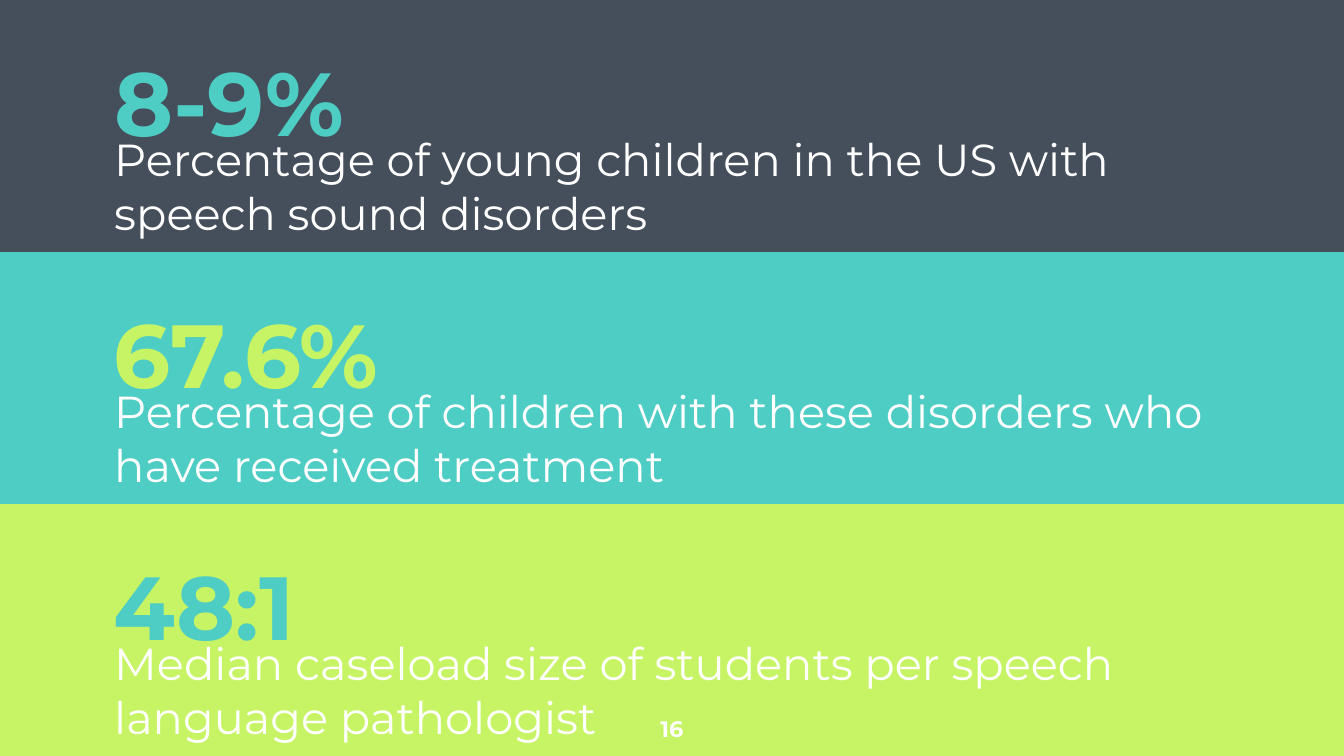
from dataclasses import dataclass
from lxml.etree import SubElement
from pptx import Presentation
from pptx.dml.color import RGBColor
from pptx.enum.shapes import MSO_SHAPE
from pptx.enum.text import MSO_ANCHOR, MSO_AUTO_SIZE, PP_ALIGN
from pptx.oxml.ns import qn
from pptx.util import Pt


@dataclass(frozen=True)
class Theme:
    """Colours, font and type sizes of the slide."""
    slate: str = "454F5B"
    teal: str = "4ECDC4"
    lime: str = "C7F464"
    white: str = "FFFFFF"
    font: str = "Montserrat"
    large: int = 48
    text: int = 24
    small: int = 12


THEME = Theme()
WIDTH, HEIGHT = 720, 405
BAND = HEIGHT / 3
LEFT, SPAN = 54, 612
FACTS = [
    ("8-9%", THEME.teal,
     "Percentage of young children in the US with speech sound disorders"),
    ("67.6%", THEME.lime,
     "Percentage of children with these disorders who have received treatment"),
    ("48:1", THEME.teal,
     "Median caseload size of students per speech language pathologist"),
]


def place(shape, left, top, width, height):
    """Move and size a shape in points."""
    shape.left, shape.top = Pt(left), Pt(top)
    shape.width, shape.height = Pt(width), Pt(height)


def write(shape, text, size=THEME.text, color=THEME.white, bold=False,
          align=PP_ALIGN.LEFT, anchor=MSO_ANCHOR.TOP):
    """Fill a shape with one formatted paragraph without a bullet."""
    frame = shape.text_frame
    frame.word_wrap = True
    frame.auto_size = MSO_AUTO_SIZE.NONE
    frame.vertical_anchor = anchor
    frame.margin_left = frame.margin_right = Pt(7.2)
    frame.margin_top = frame.margin_bottom = Pt(7.2)
    para = frame.paragraphs[0]
    props = para._p.get_or_add_pPr()
    props.set("marL", "0")
    props.set("indent", "0")
    SubElement(props, qn("a:buNone"))
    para.alignment = align
    para.space_before = Pt(0)
    run = para.add_run()
    run.text = text
    font = run.font
    font.name, font.size, font.bold = THEME.font, Pt(size), bold
    font.color.rgb = RGBColor.from_string(color)


def add_box(slide):
    """Add an empty text box."""
    return slide.shapes.add_textbox(0, 0, 0, 0)


def add_band(slide, row, color):
    """Add a full-width colour band behind the text."""
    band = slide.shapes.add_shape(MSO_SHAPE.RECTANGLE, 0, 0, 0, 0)
    place(band, 0, row * BAND, WIDTH, BAND)
    band.shadow.inherit = False
    band.fill.solid()
    band.fill.fore_color.rgb = RGBColor.from_string(color)
    band.line.fill.background()
    slide.shapes._spTree.insert(2 + row, band._element)


def add_fact(row, head, body, fact):
    """Set a large figure and its caption in one band."""
    figure, color, caption = fact
    place(head, LEFT, 19.5 + row * BAND, SPAN, 70.5)
    write(head, figure, size=THEME.large, color=color, bold=True,
          anchor=MSO_ANCHOR.BOTTOM)
    place(body, LEFT, 63.3 + row * BAND, SPAN, 70.5)
    write(body, caption)


def main():
    """Build and save the slide."""
    deck = Presentation()
    deck.slide_width, deck.slide_height = Pt(WIDTH), Pt(HEIGHT)
    slide = deck.slides.add_slide(deck.slide_layouts.get_by_name("Comparison"))
    slide.background.fill.solid()
    slide.background.fill.fore_color.rgb = RGBColor.from_string(THEME.lime)
    title, *bodies = list(slide.placeholders)
    for spare in bodies[len(FACTS):]:
        spare._element.getparent().remove(spare._element)
    for row, color in enumerate((THEME.slate, THEME.teal)):
        add_band(slide, row, color)
    for row, (body, fact) in enumerate(zip(bodies, FACTS)):
        head = add_box(slide) if row else title
        add_fact(row, head, body, fact)
    number = add_box(slide)
    place(number, 338.4, 375.8, 43.2, 24.5)
    write(number, "16", size=THEME.small, bold=True, align=PP_ALIGN.CENTER)
    deck.save("out.pptx")


if __name__ == "__main__":
    main()
